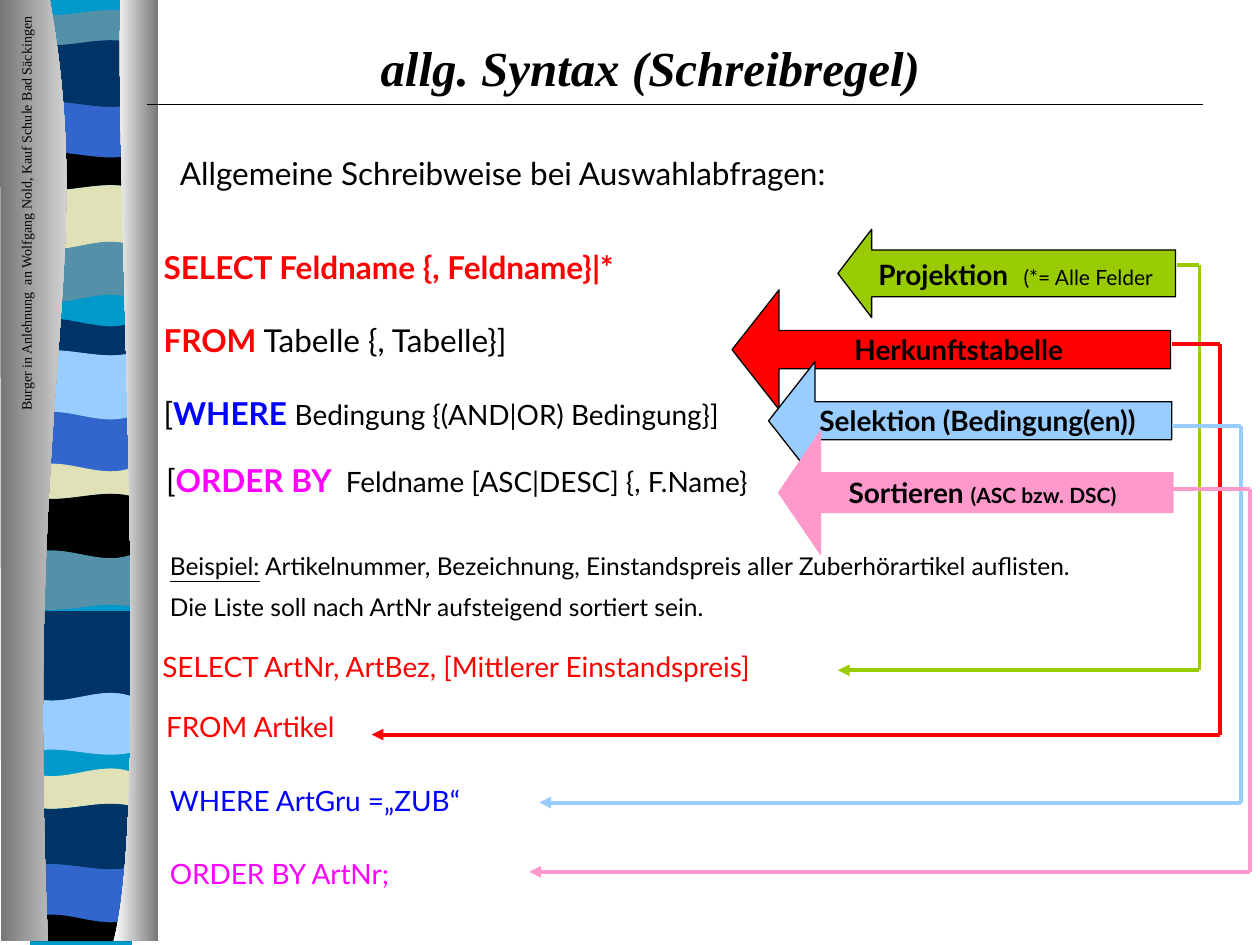
"""Build the slide on the general syntax of SQL select queries."""
from lxml.etree import SubElement
from pptx import Presentation
from pptx.dml.color import RGBColor as Rgb
from pptx.enum.shapes import MSO_CONNECTOR as Link, MSO_SHAPE as Kind
from pptx.enum.text import MSO_ANCHOR as Anchor, PP_ALIGN as Align
from pptx.oxml.ns import qn
from pptx.util import Inches, Pt

HUES = {
    "black": "000000", "white": "FFFFFF", "grey": "767676", "cyan": "0099CC",
    "teal": "5490A8", "navy": "003366", "royal": "3366CC", "sand": "E1E1B7",
    "sky": "99CCFF", "red": "FF0000", "blue": "0000FF", "pink": "FF99CC",
    "lilac": "FF00FF", "green": "99CC00",
}
RGB = {name: Rgb.from_string(code) for name, code in HUES.items()}

deck = Presentation()
deck.slide_width, deck.slide_height = Inches(10), Inches(7.5)
slide = deck.slides.add_slide(deck.slide_layouts[5])
shapes = slide.shapes


def write(para, runs, font="Lato"):
    """Fill a paragraph with (text, size, colour, bold) runs."""
    for text, size, hue, bold in runs:
        run = para.add_run()
        run.text = text
        run.font.name, run.font.size, run.font.bold = font, Pt(size), bold
        run.font.color.rgb = RGB[hue]


def draw(ends, hue, width, head=False):
    """Draw a straight line, with an arrowhead at its end if asked."""
    line = shapes.add_connector(Link.STRAIGHT, *[Inches(v) for v in ends])
    line.line.color.rgb, line.line.width = RGB[hue], Pt(width)
    if head:
        SubElement(line.line._get_or_add_ln(), qn("a:tailEnd"), type="triangle")
    SubElement(line._element.spPr, qn("a:effectLst"))


bands = [
    (0.1, "teal", 0.02), (0.34, "navy", 0.02), (0.83, "royal", -0.02),
    (1.23, "black", -0.02), (1.49, "sand", 0.02), (1.95, "teal", 0.03),
    (2.37, "cyan", 0.03), (2.56, "navy", -0.03), (2.8, "sky", -0.02),
    (3.3, "royal", -0.03), (3.71, "sand", -0.03), (3.94, "black", 0.02),
    (4.4, "teal", -0.03), (4.82, "cyan", 0.02), (4.85, "navy", 0),
    (5.53, "sky", 0.03), (5.97, "cyan", -0.02), (6.13, "sand", 0.03),
    (6.4, "navy", 0.02), (6.88, "royal", -0.02), (7.29, "black", -0.03),
    (7.47, "cyan", 0),
]
left, right = 0.24, 1.05
grid = [left, left + (right - left) / 3, right - (right - left) / 3, right]
base = [(left, 0), (right, 0), (right, 7.5), (left, 7.5)]
forms = [(base, [], ["cyan"])]
for (top, hue, high), (end, _, low) in zip(bands, bands[1:]):
    if hue != "cyan":
        upper = list(zip(grid, [top, top + 3.5 * high, top - 3.5 * high, top]))
        lower = list(zip(grid, [end, end + 3.5 * low, end - 3.5 * low, end]))
        forms.append((upper + lower[::-1], [0, 4], [hue]))
forms += [
    ([(0.39, -0.03), (0.78, 2.14), (0.19, 2.93), (0.38, 7.47),
      (0.01, 7.47), (0, -0.03)], [0], ["grey", "white"]),
    ([(0.96, -0.03), (0.9, 1.22), (1.21, 6.44), (0.9, 7.47),
      (1.26, 7.47), (1.26, -0.03)], [0], ["white", "grey"]),
]

for points, bows, hues in forms:
    spots = [(Inches(x), Inches(y)) for x, y in points]
    pen = shapes.build_freeform(*spots[0])
    pen.add_line_segments(spots[1:])
    form = pen.convert_to_shape()
    edges = list(form._element.iter(qn("a:lnTo")))
    for bow in bows:
        curve = edges[bow].makeelement(qn("a:cubicBezTo"))
        edges[bow].addprevious(curve)
        for edge in edges[bow:bow + 3]:
            curve.append(edge[0])
            edge.getparent().remove(edge)
    form.shadow.inherit = False
    form.line.fill.background()
    if len(hues) == 1:
        form.fill.solid()
        form.fill.fore_color.rgb = RGB[hues[0]]
    else:
        form.fill.gradient()
        form.fill.gradient_angle = 0
        for stop, hue in zip(form.fill.gradient_stops, hues):
            stop.color.rgb = RGB[hue]

side = shapes.add_textbox(Inches(-1.46), Inches(1.58), Inches(3.33), Inches(0.23))
side.rotation = 270
side.text_frame.word_wrap = False
side.text_frame.paragraphs[0].alignment = Align.CENTER
write(side.text_frame.paragraphs[0], [
    ("Burger in Anlehnung  an Wolfgang Nold, Kauf Schule Bad Säckingen",
     8, "black", False)], "Times New Roman")

title = shapes.title
title.left, title.top, title.width, title.height = [
    Inches(v) for v in (2.92, 0.25, 4.6, 0.56)]
title.text_frame.word_wrap = True
title.text_frame.vertical_anchor = Anchor.TOP
head = title.text_frame.paragraphs[0]
head.alignment = Align.LEFT
write(head, [("allg. Syntax (Schreibregel)", 28, "black", True)], "Times New Roman")
head.runs[0].font.italic = True
draw((1.17, 0.83, 9.55, 0.83), "black", 1)

texts = [
    (1.33, 1.17, 8.25, [[("Allgemeine Schreibweise bei Auswahlabfragen:", 18, "black", False)]]),
    (1.2, 1.92, 5.3, [[("SELECT Feldname {, Feldname}|*", 18, "red", True)]]),
    (1.2, 2.5, 5.3, [[("FROM", 18, "red", True),
                      (" Tabelle {, Tabelle}]", 18, "black", False)]]),
    (1.2, 3.08, 5.3, [[("[", 18, "black", False), ("WHERE ", 18, "blue", True),
                       ("Bedingung {(AND|OR) Bedingung}]", 16, "black", False)]]),
    (1.22, 3.61, 5.73, [[("[", 18, "black", False), ("ORDER BY  ", 18, "lilac", True),
                         ("Feldname [ASC|DESC] {, F.Name}", 16, "black", False)]]),
    (1.25, 4.32, 7.47, [
        [("Beispiel:", 14, "black", False),
         (" Artikelnummer, Bezeichnung, Einstandspreis aller Zuberhörartikel auflisten.",
          14, "black", False)],
        [("Die Liste soll nach ArtNr aufsteigend sortiert sein.", 14, "black", False)]]),
    (1.19, 5.11, 5.73, [[("SELECT ArtNr, ArtBez, [Mittlerer Einstandspreis]", 16, "red", False)]]),
    (1.22, 5.58, 4.7, [[("FROM Artikel", 16, "red", False)]]),
    (1.25, 6.17, 3.33, [[("WHERE ArtGru =„ZUB“", 16, "blue", False)]]),
    (1.25, 6.75, 3.33, [[("ORDER BY ArtNr;", 16, "lilac", False)]]),
]
for start, top, width, rows in texts:
    high = 0.4 if len(rows) == 1 else 0.71
    frame = shapes.add_textbox(*[Inches(v) for v in (start, top, width, high)]).text_frame
    frame.word_wrap = True
    for n, runs in enumerate(rows):
        para = frame.add_paragraph() if n else frame.paragraphs[0]
        para.space_before = Pt(7 * n)
        write(para, runs)
        para.runs[0].font.underline = runs[0][0] == "Beispiel:"

arrows = [
    ((6.65, 1.82, 2.68, 0.7), (0.531, 0.383), "green", "black",
     [("Projektion", 16, "black", True), ("  ", 18, "black", True),
      ("(*= Alle Felder", 12, "black", False)], (9.34, 2.1, 9.52, 5.32, 6.65)),
    ((5.81, 2.3, 3.48, 0.95), (0.321, 0.393), "red", "black",
     [("Herkunftstabelle", 16, "black", True)], (9.3, 2.73, 9.68, 5.83, 2.95)),
    ((6.1, 2.87, 3.2, 0.94), (0.321, 0.393), "sky", "black",
     [("Selektion (Bedingung(en))", 16, "black", True)], (9.3, 3.38, 9.85, 6.37, 4.28)),
    ((6.18, 3.42, 3.13, 0.98), (0.321, 0.34), "pink", "pink",
     [("Sortieren ", 16, "black", True), ("(ASC bzw. DSC)", 12, "black", True)],
     (9.3, 3.88, 9.92, 6.92, 4.2)),
]
for place, bends, hue, rim, runs, (start, top, turn, low, end) in arrows:
    arrow = shapes.add_shape(Kind.LEFT_ARROW, *[Inches(v) for v in place])
    arrow.shadow.inherit = False
    arrow.adjustments[0], arrow.adjustments[1] = bends
    arrow.fill.solid()
    arrow.fill.fore_color.rgb = RGB[hue]
    arrow.line.color.rgb, arrow.line.width = RGB[rim], Pt(0.75)
    frame = arrow.text_frame
    frame.word_wrap = False
    frame.vertical_anchor = Anchor.MIDDLE
    frame.paragraphs[0].alignment = Align.CENTER
    write(frame.paragraphs[0], runs)
    draw((start, top, turn, top), hue, 2.25)
    draw((turn, top, turn, low), hue, 2.25)
    draw((turn, low, end, low), hue, 2.25, True)

deck.save("out.pptx")
